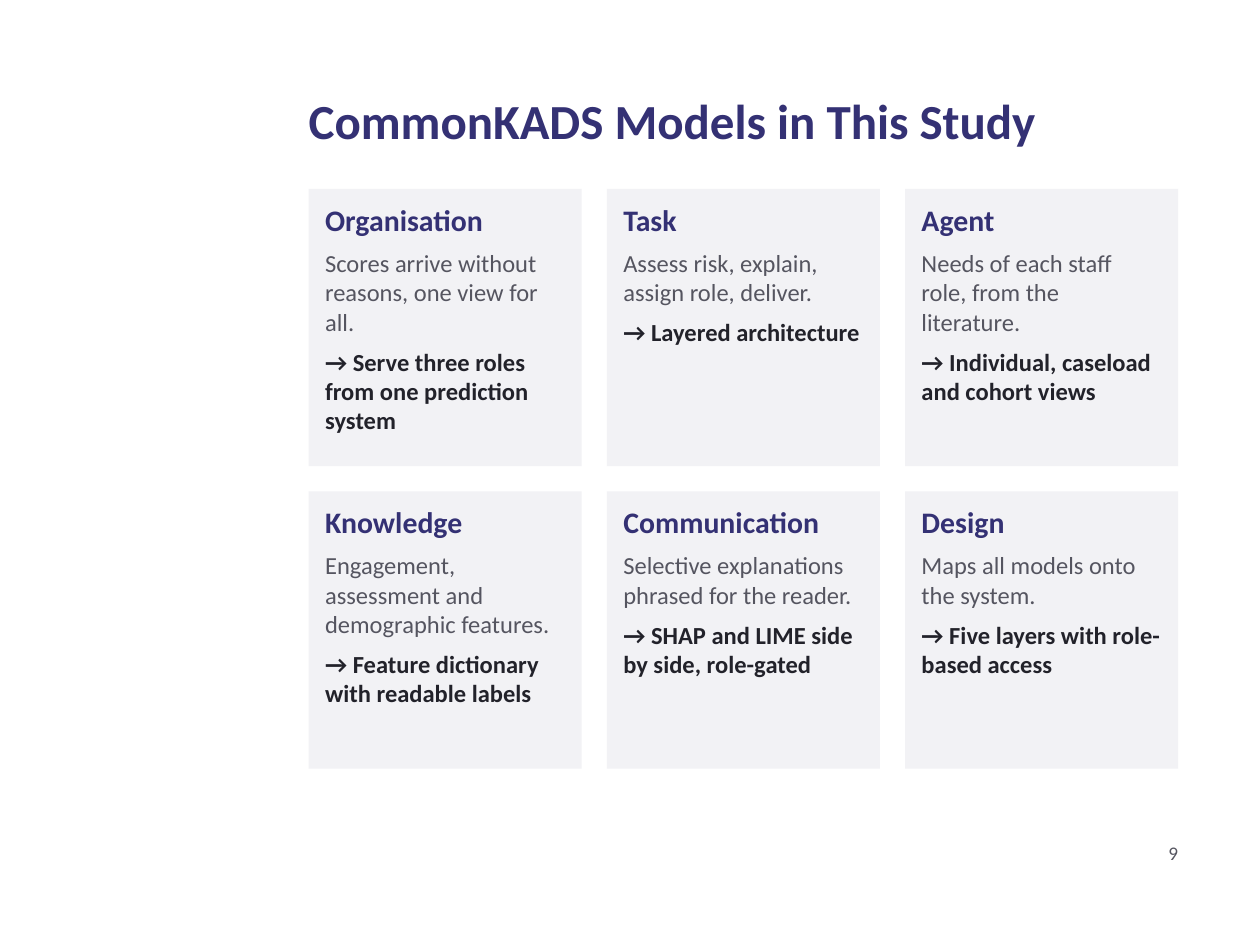
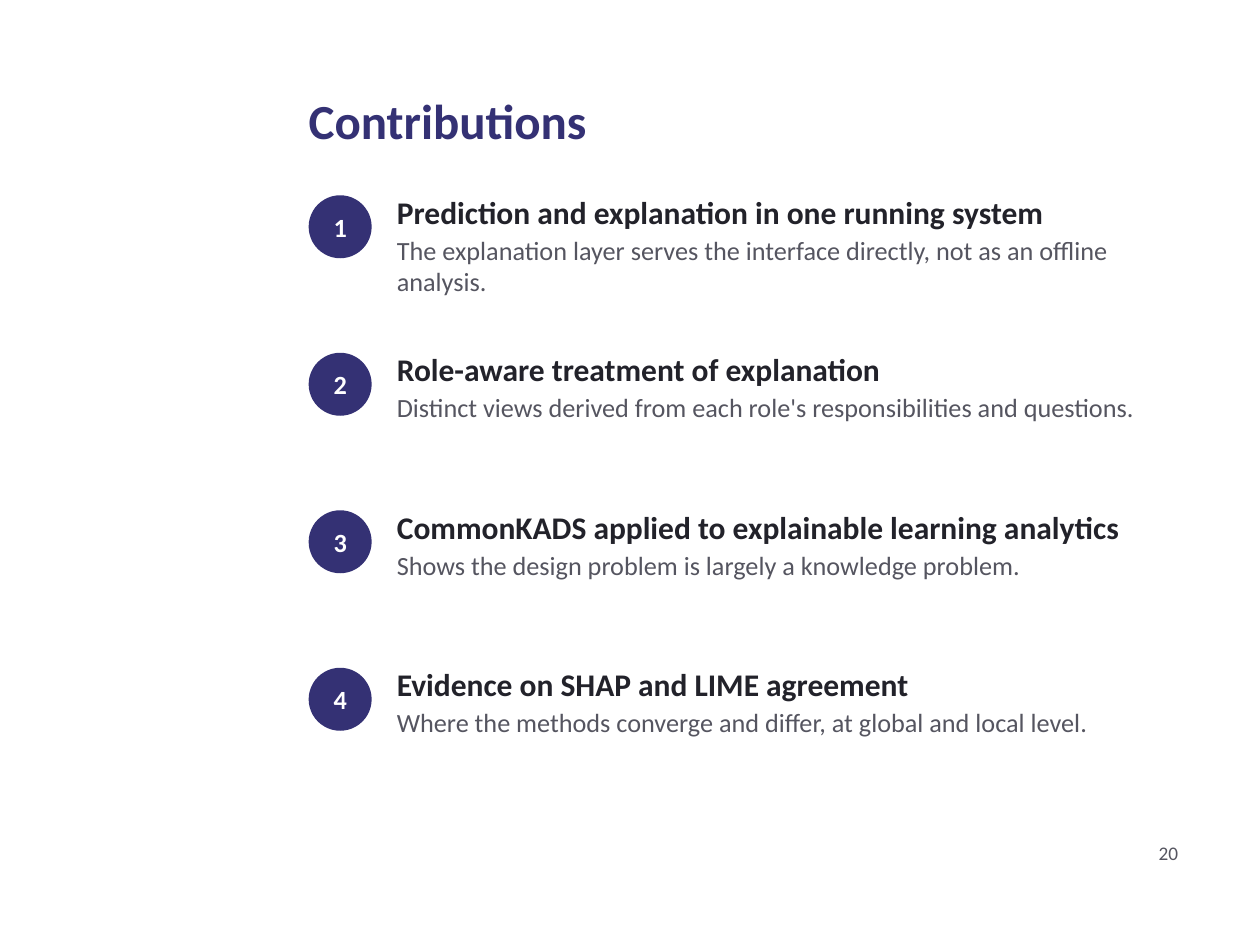
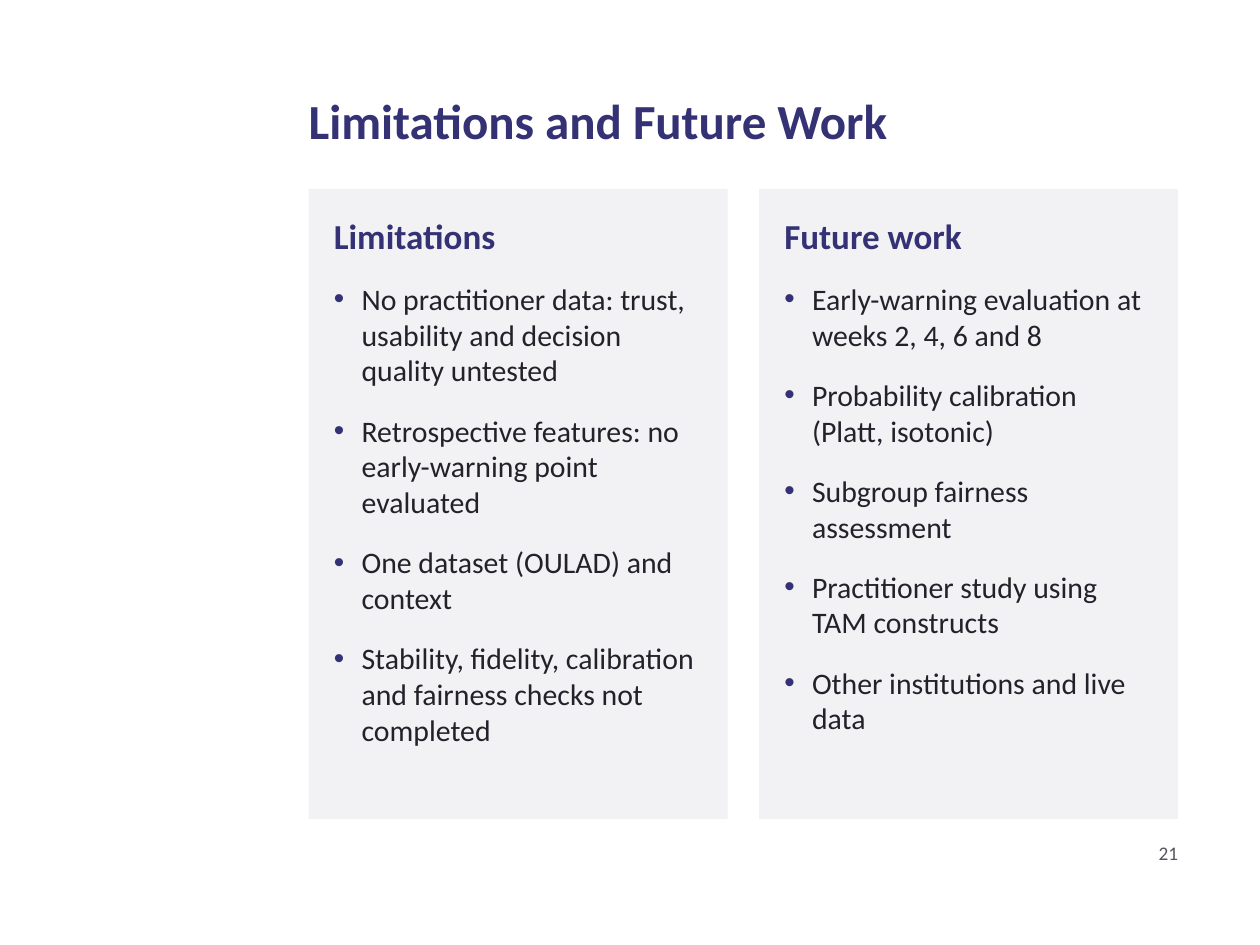
from lxml.etree import SubElement
from pptx import Presentation
from pptx.dml.color import RGBColor
from pptx.enum.shapes import MSO_SHAPE as Shape
from pptx.enum.text import MSO_ANCHOR as Anchor, MSO_AUTO_SIZE as AutoSize, PP_ALIGN as Align
from pptx.oxml.ns import qn
from pptx.util import Pt

COLORS = {
    "indigo": "343174",
    "ink": "22222A",
    "gray": "555560",
    "panel": "F2F2F5",
    "white": "FFFFFF",
}
FONT = "Calibri"
LEFT, WIDTH, TOP = 176.4, 496.8, 108
BULLET_INDENT = 15.84

MODELS = [
    ("Organisation", "Scores arrive without reasons, one view for all.",
     "→ Serve three roles from one prediction system"),
    ("Task", "Assess risk, explain, assign role, deliver.",
     "→ Layered architecture"),
    ("Agent", "Needs of each staff role, from the literature.",
     "→ Individual, caseload and cohort views"),
    ("Knowledge", "Engagement, assessment and demographic features.",
     "→ Feature dictionary with readable labels"),
    ("Communication", "Selective explanations phrased for the reader.",
     "→ SHAP and LIME side by side, role-gated"),
    ("Design", "Maps all models onto the system.",
     "→ Five layers with role-based access"),
]

CONTRIBUTIONS = [
    ("Prediction and explanation in one running system",
     "The explanation layer serves the interface directly, not as an offline analysis."),
    ("Role-aware treatment of explanation",
     "Distinct views derived from each role's responsibilities and questions."),
    ("CommonKADS applied to explainable learning analytics",
     "Shows the design problem is largely a knowledge problem."),
    ("Evidence on SHAP and LIME agreement",
     "Where the methods converge and differ, at global and local level."),
]

OUTLOOK = {
    "Limitations": [
        "No practitioner data: trust, usability and decision quality untested",
        "Retrospective features: no early-warning point evaluated",
        "One dataset (OULAD) and context",
        "Stability, fidelity, calibration and fairness checks not completed",
    ],
    "Future work": [
        "Early-warning evaluation at weeks 2, 4, 6 and 8",
        "Probability calibration (Platt, isotonic)",
        "Subgroup fairness assessment",
        "Practitioner study using TAM constructs",
        "Other institutions and live data",
    ],
}


def rgb(name):
    return RGBColor.from_string(COLORS[name])


def add_bullet(paragraph):
    properties = paragraph._p.get_or_add_pPr()
    properties.set("marL", str(Pt(BULLET_INDENT)))
    properties.set("indent", str(-Pt(BULLET_INDENT)))
    color = SubElement(properties, qn("a:buClr"))
    SubElement(color, qn("a:srgbClr"), val=COLORS["indigo"])
    SubElement(properties, qn("a:buFont"), typeface="Arial")
    SubElement(properties, qn("a:buChar"), char="•")


def write(paragraph, text, size=14, color="ink", bold=False, align=Align.LEFT,
          after=0, bullet=False):
    if bullet:
        add_bullet(paragraph)
    paragraph.alignment = align
    paragraph.space_after = Pt(after)
    run = paragraph.add_run()
    run.text = text
    run.font.name = FONT
    run.font.size = Pt(size)
    run.font.bold = bold
    run.font.color.rgb = rgb(color)


class Deck:
    def __init__(self):
        self.presentation = Presentation()
        self.presentation.slide_width = Pt(720)
        self.presentation.slide_height = Pt(540)
        self.slide = None

    def start(self, title, number):
        layout = self.presentation.slide_layouts[5]
        self.slide = self.presentation.slides.add_slide(layout)
        shape = self.slide.shapes.title
        shape.left, shape.top = Pt(LEFT), Pt(39.6)
        shape.width, shape.height = Pt(WIDTH), Pt(57.6)
        frame = self.frame(shape, Anchor.MIDDLE, vertical=3.6)
        write(frame.paragraphs[0], title, size=28, color="indigo", bold=True)
        self.text(LEFT + WIDTH - 43.2, 480.96, 43.2, 20.16,
                  [(str(number), dict(size=11, color="gray", align=Align.RIGHT, after=6))])

    def frame(self, shape, anchor, vertical=0):
        frame = shape.text_frame
        frame.word_wrap = True
        frame.auto_size = AutoSize.NONE
        frame.vertical_anchor = anchor
        frame.margin_left = frame.margin_right = 0
        frame.margin_top = frame.margin_bottom = Pt(vertical)
        return frame

    def text(self, left, top, width, height, lines):
        box = self.slide.shapes.add_textbox(Pt(left), Pt(top), Pt(width), Pt(height))
        frame = self.frame(box, Anchor.TOP)
        frame.auto_size = AutoSize.SHAPE_TO_FIT_TEXT
        for index, (text, style) in enumerate(lines):
            paragraph = frame.add_paragraph() if index else frame.paragraphs[0]
            write(paragraph, text, **style)

    def block(self, kind, left, top, width, height, fill):
        shape = self.slide.shapes.add_shape(kind, Pt(left), Pt(top), Pt(width), Pt(height))
        shape.shadow.inherit = False
        shape.fill.solid()
        shape.fill.fore_color.rgb = rgb(fill)
        shape.line.fill.background()
        return shape

    def panel(self, left, top, width, height):
        self.block(Shape.RECTANGLE, left, top, width, height, "panel")

    def badge(self, left, top, size, label):
        shape = self.block(Shape.OVAL, left, top, size, size, "indigo")
        frame = self.frame(shape, Anchor.MIDDLE)
        write(frame.paragraphs[0], label, size=15, color="white", bold=True,
              align=Align.CENTER)


def models_slide(deck):
    deck.start("CommonKADS Models in This Study", 9)
    columns, gap, height = 3, 14.4, 158.4
    width = (WIDTH - (columns - 1) * gap) / columns
    for index, (name, finding, outcome) in enumerate(MODELS):
        row, column = divmod(index, columns)
        left = LEFT + column * (width + gap)
        top = TOP + row * (height + gap)
        deck.panel(left, top, width, height)
        deck.text(left + 9.36, top + 7.2, width - 18.72, height - 14.4, [
            (name, dict(size=17, color="indigo", bold=True, after=6)),
            (finding, dict(color="gray", after=6)),
            (outcome, dict(bold=True, after=6)),
        ])


def contributions_slide(deck):
    deck.start("Contributions", 20)
    for index, (claim, detail) in enumerate(CONTRIBUTIONS):
        top = 111.6 + index * 90
        deck.badge(LEFT, top, 36, str(index + 1))
        deck.text(LEFT + 50.4, top - 1.44, WIDTH - 50.4, 86.4, [
            (claim, dict(size=18, bold=True, after=2)),
            (detail, dict(size=15, color="gray", after=2)),
        ])


def outlook_slide(deck):
    deck.start("Limitations and Future Work", 21)
    gap, height, inset = 18, 360, 14.4
    width = (WIDTH - gap) / 2
    for index, (heading, points) in enumerate(OUTLOOK.items()):
        left = LEFT + index * (width + gap)
        deck.panel(left, TOP, width, height)
        lines = [(heading, dict(size=20, color="indigo", bold=True, after=14))]
        lines += [(point, dict(size=17, after=14, bullet=True)) for point in points]
        deck.text(left + inset, TOP + inset, width - 2 * inset, height - 21.6, lines)


def main():
    deck = Deck()
    models_slide(deck)
    contributions_slide(deck)
    outlook_slide(deck)
    deck.presentation.save("out.pptx")


if __name__ == "__main__":
    main()
